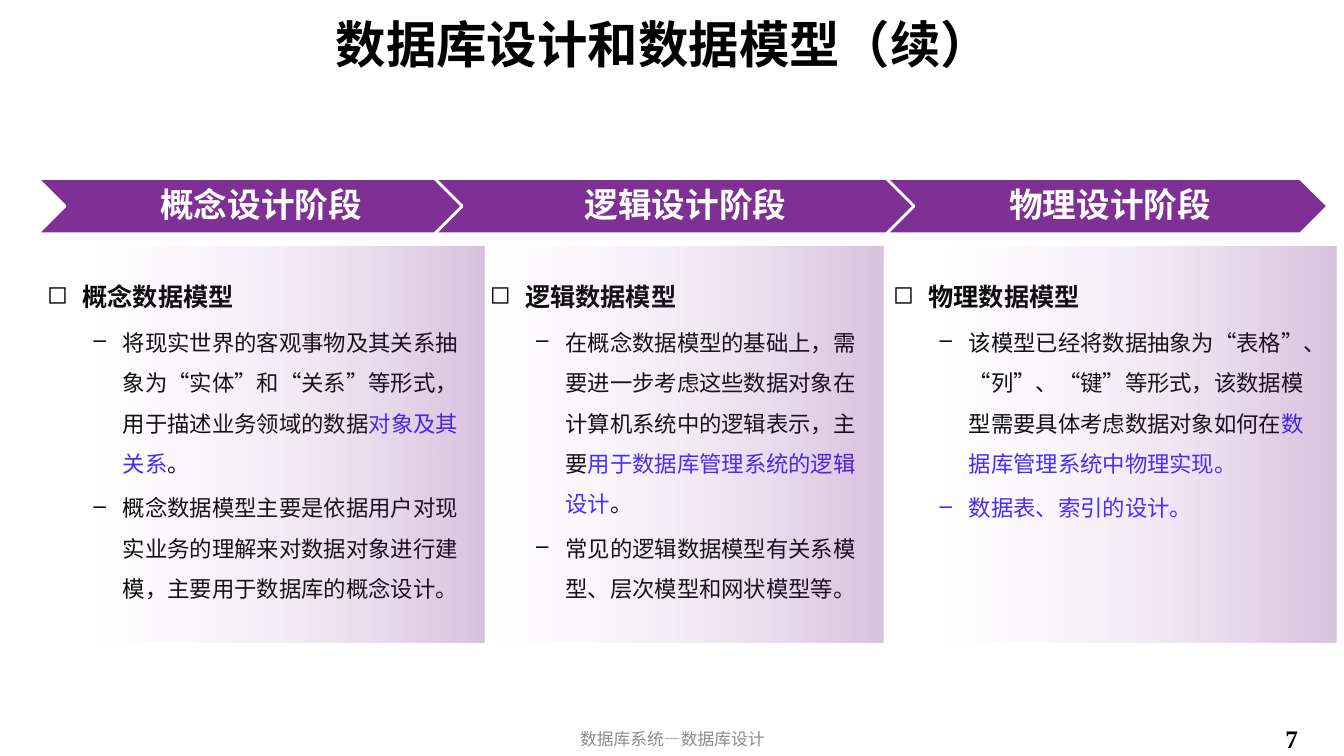
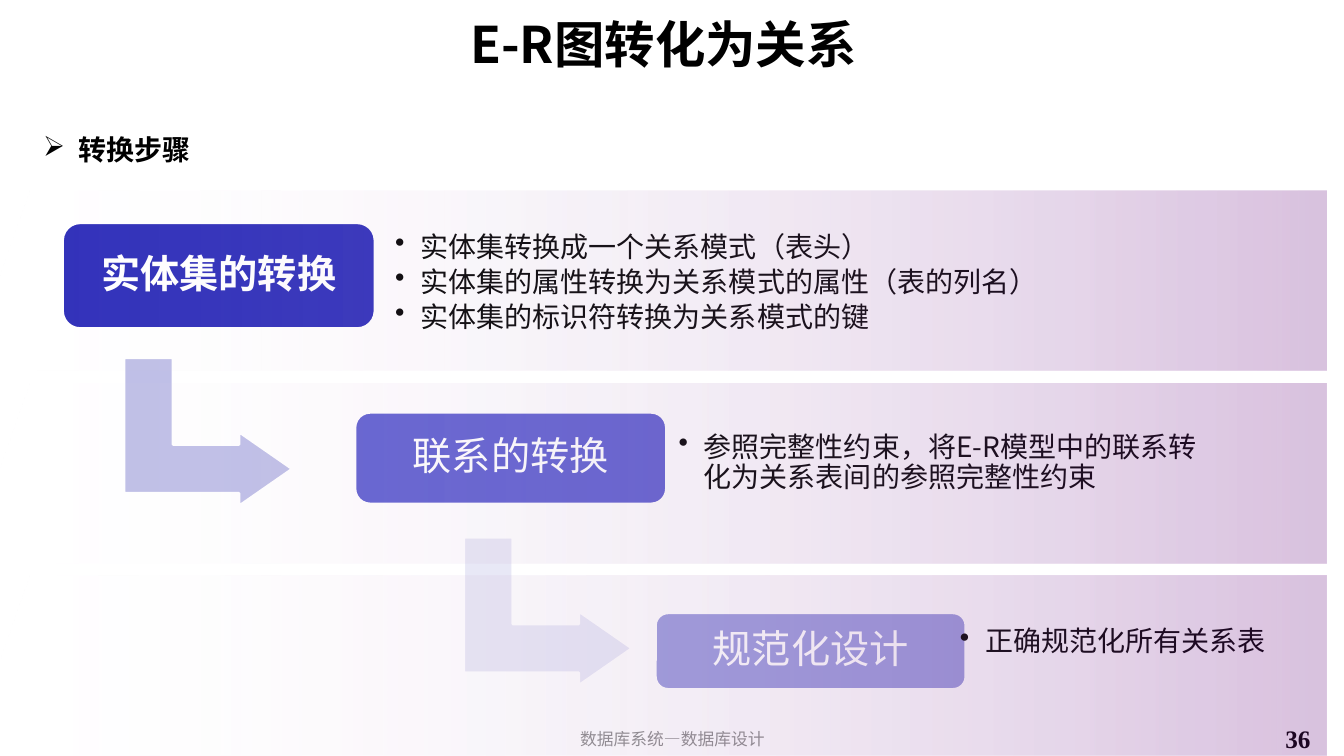
from lxml.etree import SubElement
from pptx import Presentation
from pptx.dml.color import RGBColor
from pptx.enum.shapes import MSO_SHAPE
from pptx.enum.text import MSO_ANCHOR, PP_ALIGN
from pptx.oxml.ns import qn
from pptx.util import Pt

PX = 9144
SANS = "Noto Sans CJK SC"
COLORS = {
    "black": "000000", "white": "FFFFFF", "grey": "8C8C8C",
    "accent": "3B20FF", "chevron": "7E3094", "band": "6F1787",
    "step1": "2E2EB9", "step2": "6060D0", "step3": "9C9CDD",
    "arrow1": "BFBFE7", "arrow2": "E8E8F6",
}


def add_box(s, kind, x, y, w, h, fill=None, insets=(10, 5, 10, 5), anchor=MSO_ANCHOR.TOP):
    frame = [v * PX for v in (x, y, w, h)]
    if kind is None:
        sp = s.shapes.add_textbox(*frame)
    else:
        sp = s.shapes.add_shape(kind, *frame)
        sp.shadow.inherit = False
        sp.fill.solid()
        sp.fill.fore_color.rgb = RGBColor.from_string(COLORS[fill])
        sp.line.color.rgb = RGBColor.from_string(COLORS["white"])
        sp.line.width = Pt(2)
    tf = sp.text_frame
    tf.word_wrap = True
    tf.vertical_anchor = anchor
    tf.margin_left, tf.margin_top, tf.margin_right, tf.margin_bottom = [v * PX for v in insets]
    return sp


def add_para(tf, runs, size, bold=False, align=PP_ALIGN.LEFT, font=SANS,
             line=None, before=0, bullet=None, left=0, hang=0):
    first = not tf.paragraphs[0].runs
    p = tf.paragraphs[0] if first else tf.add_paragraph()
    p.alignment = align
    if line:
        p.line_spacing = line
    p.space_before = Pt(0 if first else before)
    if bullet:
        pPr = p._p.get_or_add_pPr()
        pPr.set("marL", str(left * PX))
        pPr.set("indent", str(-hang * PX))
        SubElement(pPr, qn("a:buChar")).set("char", bullet)
    for text, color in runs:
        r = p.add_run()
        r.text = text
        r.font.size = Pt(size)
        r.font.bold = bold
        r.font.name = font
        r.font.color.rgb = RGBColor.from_string(COLORS[color])
        rPr = r._r.get_or_add_rPr()
        rPr.set("lang", "zh-CN")
        SubElement(rPr, qn("a:ea")).set("typeface", font)


prs = Presentation()
prs.slide_width = 1333 * PX
prs.slide_height = 750 * PX

slides = []
for title, number in [("数据库设计和数据模型（续）", "7"), ("E-R图转化为关系", "36")]:
    s = prs.slides.add_slide(prs.slide_layouts[5])
    sp = s.shapes.title
    sp.left, sp.top, sp.width, sp.height = [v * PX for v in (106, 6, 1104, 74)]
    sp.text_frame.vertical_anchor = MSO_ANCHOR.MIDDLE
    add_para(sp.text_frame, [(title, "black")], 36, True, PP_ALIGN.CENTER)
    sp = add_box(s, None, 1265, 713, 68, 37)
    add_para(sp.text_frame, [(number, "black")], 18, True, font="Times New Roman")
    sp = add_box(s, None, 442, 716, 450, 34, anchor=MSO_ANCHOR.MIDDLE)
    add_para(sp.text_frame, [("数据库系统—数据库设计", "grey")], 12, align=PP_ALIGN.CENTER)
    slides.append(s)
stages, steps = slides

for name, x, w in [("概念设计阶段", 37, 438), ("逻辑设计阶段", 431, 492), ("物理设计阶段", 879, 438)]:
    sp = add_box(stages, MSO_SHAPE.CHEVRON, x, 177, w, 55, "chevron", (10, 4, 4, 4), MSO_ANCHOR.MIDDLE)
    add_para(sp.text_frame, [(name, "white")], 24, True, PP_ALIGN.CENTER, line=0.9)

models = [
    (37, 439, "概念数据模型", [
        [("将现实世界的客观事物及其关系抽象为“实体”和“关系”等形式，用于描述业务领域的数据", "black"),
         ("对象及其关系", "accent"), ("。", "black")],
        [("概念数据模型主要是依据用户对现实业务的理解来对数据对象进行建模，主要用于数据库的概念设计。", "black")],
    ]),
    (476, 400, "逻辑数据模型", [
        [("在概念数据模型的基础上，需要进一步考虑这些数据对象在计算机系统中的逻辑表示，主要", "black"),
         ("用于数据库管理系统的逻辑设计", "accent"), ("。", "black")],
        [("常见的逻辑数据模型有关系模型、层次模型和网状模型等。", "black")],
    ]),
    (876, 441, "物理数据模型", [
        [("该模型已经将数据抽象为“表格”、“列”、“键”等形式，该数据模型需要具体考虑数据对象如何在", "black"),
         ("数据库管理系统中物理实现。", "accent")],
        [("数据表、索引的设计。", "accent")],
    ]),
]
for x, w, heading, points in models:
    tf = add_box(stages, None, x, 259, w, 360).text_frame
    add_para(tf, [(heading, "black")], 18, True, line=Pt(32.4), bullet="◻", left=35, hang=35)
    for runs in points:
        add_para(tf, runs, 16, line=Pt(28.8), before=3, bullet="–", left=75, hang=29)

sp = add_box(steps, None, 33, 127, 1260, 50)
add_para(sp.text_frame, [("转换步骤", "black")], 20, True, bullet="➢", left=35, hang=35)

for x, y, fill in [(133, 345, "arrow1"), (470, 523, "arrow2")]:
    sp = add_box(steps, MSO_SHAPE.BENT_UP_ARROW, x, y, 147, 167, fill)
    sp.rotation = 90
    for i, value in enumerate((0.33, 0.25, 0.36)):
        sp.adjustments[i] = value

conversions = [
    ("实体集的转换", True, "step1", (62, 221, 310, 105), (384, 210, 673, 140),
     ["实体集转换成一个关系模式（表头）", "实体集的属性转换为关系模式的属性（表的列名）", "实体集的标识符转换为关系模式的键"]),
    ("联系的转换", False, "step2", (352, 409, 309, 91), (665, 389, 534, 140),
     ["参照完整性约束，将E-R模型中的联系转化为关系表间的参照完整性约束"]),
    ("规范化设计", False, "step3", (650, 608, 308, 76), (944, 567, 328, 140),
     ["正确规范化所有关系表"]),
]
for name, bold, fill, label, detail, points in conversions:
    sp = add_box(steps, MSO_SHAPE.ROUNDED_RECTANGLE, *label, fill, (12, 12, 12, 12), MSO_ANCHOR.MIDDLE)
    add_para(sp.text_frame, [(name, "white")], 28, bold, PP_ALIGN.CENTER, line=0.9)
    tf = add_box(steps, None, *detail, insets=(8, 8, 8, 8), anchor=MSO_ANCHOR.MIDDLE).text_frame
    for point in points:
        add_para(tf, [(point, "black")], 20, line=Pt(22), before=3, bullet="•", left=25, hang=25)

bands = [(stages, x, 245, 450, 392, 21) for x in (876, 426, 31)]
bands += [(steps, -33, 189 + 191 * i, 1349, 179, 63) for i in range(3)]
for s, x, y, w, h, slant in bands:
    outline = s.shapes.build_freeform(x + slant, y, scale=PX)
    outline.add_line_segments([(x + w, y), (x + w, y + h), (x, y + h)], close=True)
    sp = outline.convert_to_shape()
    sp.shadow.inherit = False
    sp.line.fill.background()
    sp.fill.gradient()
    sp.fill.gradient_angle = 0
    for stop, position, color in zip(sp.fill.gradient_stops, (0, 0.99), ("white", "band")):
        stop.position = position
        stop.color.rgb = RGBColor.from_string(COLORS[color])
    for clr, alpha in zip(sp._element.spPr.iter(qn("a:srgbClr")), ("0", "26000")):
        SubElement(clr, qn("a:alpha")).set("val", alpha)

prs.save("out.pptx")
